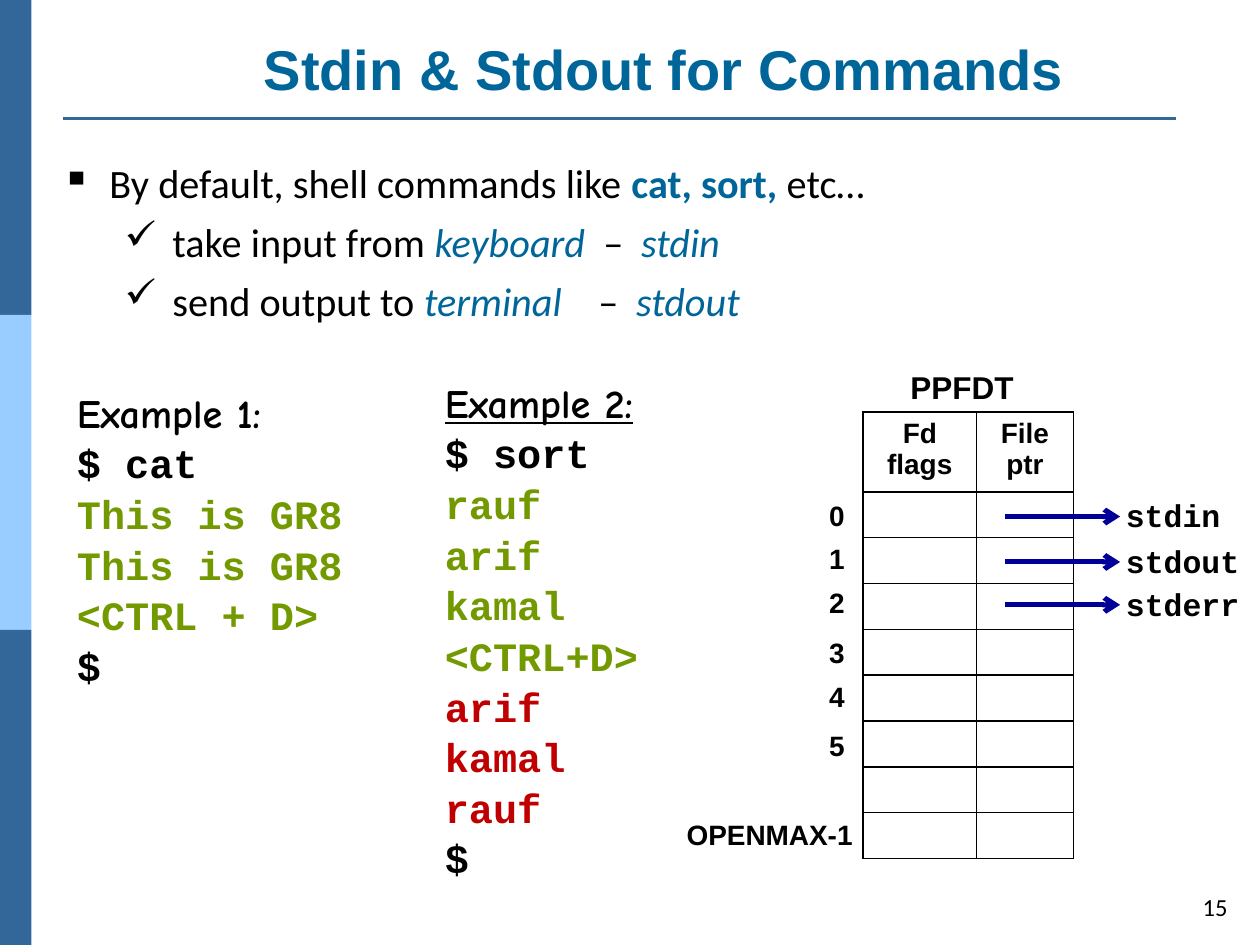
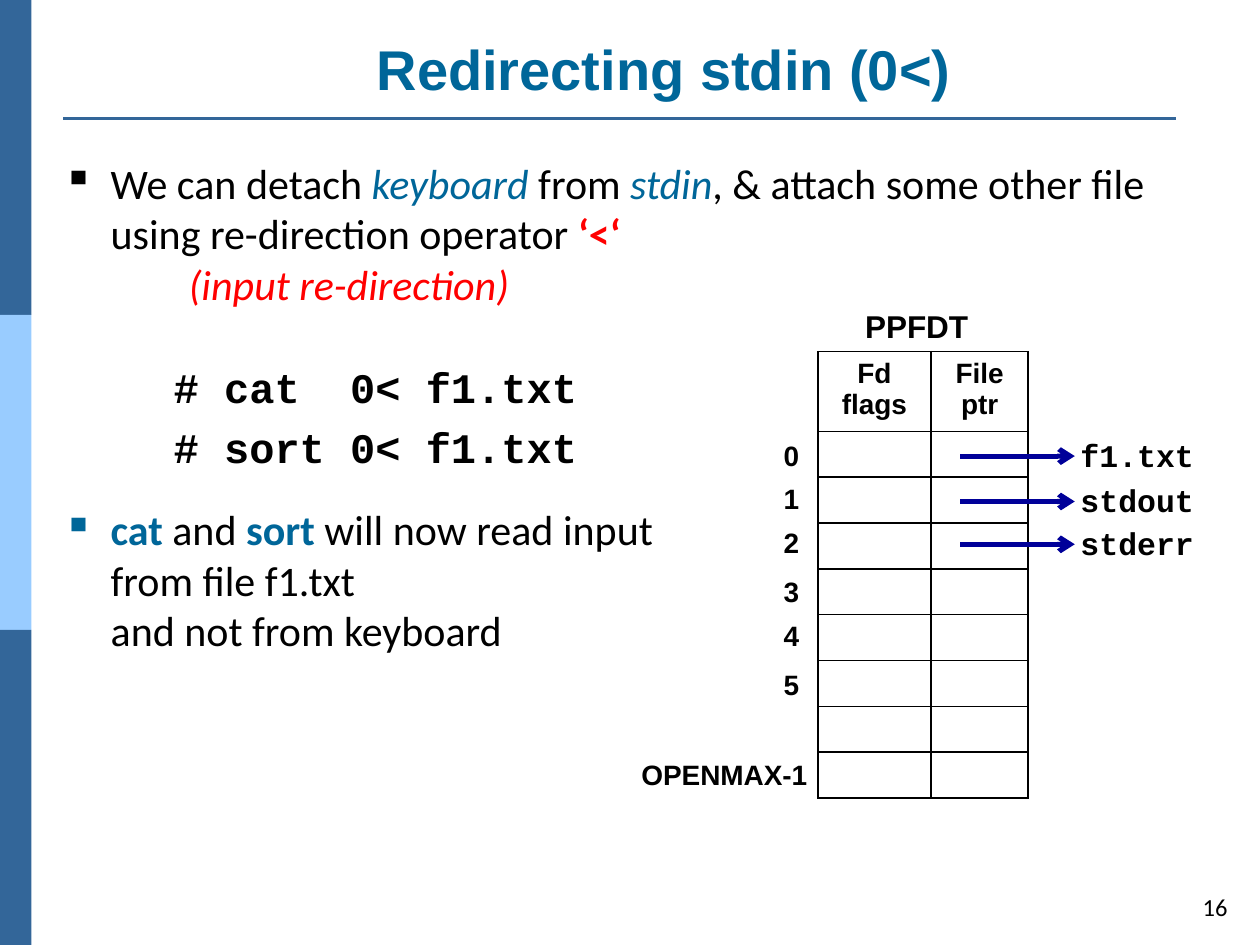
from dataclasses import dataclass

from pptx import Presentation
from pptx.dml.color import RGBColor
from pptx.enum.shapes import MSO_CONNECTOR, MSO_SHAPE
from pptx.enum.text import MSO_ANCHOR, PP_ALIGN
from pptx.oxml.xmlchemy import OxmlElement
from pptx.util import Inches, Pt

RECT, STRAIGHT = MSO_SHAPE.RECTANGLE, MSO_CONNECTOR.STRAIGHT
LEFT, CENTER, RIGHT = PP_ALIGN.LEFT, PP_ALIGN.CENTER, PP_ALIGN.RIGHT
TOP, MIDDLE, BOTTOM = MSO_ANCHOR.TOP, MSO_ANCHOR.MIDDLE, MSO_ANCHOR.BOTTOM

# Slide grid: 100 columns by 75 rows of square units
COLS, ROWS, UNIT = 100, 75, 0.1


@dataclass(frozen=True)
class Theme:
    black: str = "000000"
    accent: str = "006699"
    band: str = "336699"
    band_light: str = "99CCFF"
    arrow: str = "000099"
    typed: str = "739900"
    printed: str = "C00000"
    alert: str = "FF0000"
    heading: str = "Arial"
    body: str = "Calibri"
    code: str = "Courier New"
    example: str = "Comic Neue"
    title_size: int = 32
    body_size: int = 24
    small_body_size: int = 23
    label_size: int = 18
    cell_size: int = 16
    number_size: int = 14


THEME = Theme()


def grid(*units):
    return [Inches(round(u * UNIT, 3)) for u in units]


def add_run(paragraph, text, font, size, color=THEME.black, style=""):
    """Style letters: b bold, i italic, u underline; a newline breaks the line."""
    for number, line in enumerate(text.split("\n")):
        if number:
            paragraph.add_line_break()
        run = paragraph.add_run()
        run.text = line
        run.font.name, run.font.size = font, Pt(size)
        run.font.color.rgb = RGBColor.from_string(color)
        run.font.bold, run.font.italic = "b" in style, "i" in style
        run.font.underline = "u" in style


def text_box(slide, box, wrap=True, anchor=TOP, inset=(0.09, 0.04)):
    frame = slide.shapes.add_textbox(*grid(*box)).text_frame
    frame.word_wrap, frame.vertical_anchor = wrap, anchor
    frame.margin_left = frame.margin_right = Inches(inset[0])
    frame.margin_top = frame.margin_bottom = Inches(inset[1])
    return frame


def label(slide, box, text, font, size, align=LEFT):
    paragraph = text_box(slide, box, wrap=False).paragraphs[0]
    paragraph.alignment = align
    add_run(paragraph, text, font, size, style="b")


def next_paragraph(frame, index):
    return frame.add_paragraph() if index else frame.paragraphs[0]


def line(slide, start, end, color, width, arrow=False):
    connector = slide.shapes.add_connector(STRAIGHT, *grid(*start, *end))
    connector.line.color.rgb = RGBColor.from_string(color)
    connector.line.width = Pt(width)
    if arrow:
        head = OxmlElement("a:tailEnd")
        head.set("type", "arrow")
        connector.line._get_or_add_ln().append(head)
    connector._element.spPr.append(OxmlElement("a:effectLst"))


def new_slide(deck, title, number):
    """Side bands, title with its rule, and slide number."""
    slide = deck.slides.add_slide(deck.slide_layouts[5])
    band_height = ROWS / 3
    for i, color in enumerate((THEME.band, THEME.band_light, THEME.band)):
        band = slide.shapes.add_shape(
            RECT, *grid(0, i * band_height, 2.5, band_height))
        band.shadow.inherit = False
        band.fill.solid()
        band.fill.fore_color.rgb = RGBColor.from_string(color)
        band.line.fill.background()
    line(slide, (5, 9.4), (93.3, 9.4), THEME.band, 1.5)

    heading = slide.shapes.title
    heading.left, heading.top, heading.width, heading.height = grid(
        11.5, 1.8, 82.4, 6.8)
    heading.text_frame.vertical_anchor = BOTTOM
    paragraph = heading.text_frame.paragraphs[0]
    paragraph.alignment = CENTER
    add_run(paragraph, title, THEME.heading, THEME.title_size, THEME.accent, "b")

    frame = text_box(slide, (93.9, 69.9, 4.5, 4.1), anchor=MIDDLE,
                     inset=(0.1, 0.05))
    frame.paragraphs[0].alignment = RIGHT
    add_run(frame.paragraphs[0], str(number), THEME.body, THEME.number_size)
    return slide


@dataclass(frozen=True)
class Item:
    runs: tuple                # (text, color, style) for each run
    margin: float = 0.38
    indent: float = -0.38
    bullet: str = ""
    before: float = 0
    tabs: tuple = ()
    font: str = THEME.body


def body_text(slide, box, size, items):
    frame = text_box(slide, box, inset=(0.1, 0.05))
    for index, item in enumerate(items):
        paragraph = next_paragraph(frame, index)
        props = paragraph._p.get_or_add_pPr()
        props.set("marL", str(Inches(item.margin)))
        props.set("indent", str(Inches(item.indent)))
        if item.bullet:
            bullet = OxmlElement("a:buChar")
            bullet.set("char", item.bullet)
            props.append(bullet)
        if item.tabs:
            stops = OxmlElement("a:tabLst")
            for position in item.tabs:
                stop = OxmlElement("a:tab")
                stop.set("pos", str(Inches(position)))
                stop.set("algn", "l")
                stops.append(stop)
            props.append(stops)
        if item.before:
            paragraph.space_before = Pt(item.before)
        for text, color, style in item.runs:
            add_run(paragraph, text, item.font, size, color, style)


def terminal_session(slide, box, heading, heading_style, lines):
    frame = text_box(slide, box)
    rows = [(heading, THEME.black, THEME.example, heading_style)]
    rows += [(text, color, THEME.code, "b") for text, color in lines]
    for index, (text, color, font, style) in enumerate(rows):
        paragraph = next_paragraph(frame, index)
        paragraph.line_spacing = 1.05
        add_run(paragraph, text, font, THEME.small_body_size, color, style)


def format_cell(cell, text):
    cell.fill.background()
    paragraph = cell.text_frame.paragraphs[0]
    paragraph.alignment = CENTER
    if text:
        add_run(paragraph, text, THEME.heading, THEME.cell_size, style="b")
    else:
        end = OxmlElement("a:endParaRPr")
        end.set("sz", "1200")
        paragraph._p.append(end)
    cell_props = cell._tc.get_or_add_tcPr()
    for position, side in enumerate(("a:lnL", "a:lnR", "a:lnT", "a:lnB")):
        border, fill, color = (OxmlElement(tag) for tag in
                               (side, "a:solidFill", "a:srgbClr"))
        border.set("w", str(Pt(1)))
        color.set("val", THEME.black)
        fill.append(color)
        border.append(fill)
        cell_props.insert(position, border)


def descriptor_table(slide, left, top, targets):
    """File descriptor table with its row indexes and the files pointed to."""
    headers, widths, heights = ("Fd flags", "File ptr"), (9, 7.7), [5.3] + [3.64] * 8
    table = slide.shapes.add_table(
        len(heights), len(headers),
        *grid(left, top, sum(widths), sum(heights))).table
    table.first_row = table.horz_banding = False
    for column, width in zip(table.columns, grid(*widths)):
        column.width = width
    for r, (row, height) in enumerate(zip(table.rows, grid(*heights))):
        row.height = height
        for cell, header in zip(row.cells, headers):
            format_cell(cell, "" if r else header)

    # Caption and row indexes
    label(slide, (left + 2.8, top - 3.9, 10.1, 3.8), "PPFDT",
          THEME.heading, THEME.label_size, CENTER)
    for index, drop in enumerate((6.5, 9.9, 13.4, 17.3, 20.8, 24.7)):
        label(slide, (left - 3.6, top + drop, 3.1, 3.5), str(index),
              THEME.heading, THEME.cell_size)
    label(slide, (left - 14.9, top + 31.8, 15.1, 3.5), "OPENMAX-1",
          THEME.heading, THEME.cell_size)

    # File pointers
    for target, drop in zip(targets, (8.3, 11.9, 15.3)):
        y = top + drop
        line(slide, (left + 11.3, y), (left + 20.4, y), THEME.arrow, 2.9, arrow=True)
        label(slide, (left + 19.9, y - 2, 1.5 * len(target) + 1.9, 3.8), target,
              THEME.code, THEME.label_size, CENTER)


def default_streams_slide(deck):
    black, accent = THEME.black, THEME.accent
    slide = new_slide(deck, "Stdin & Stdout for Commands", 15)

    def stream(action, device, name, tabs):
        return Item(((action, black, ""), (device, accent, "i"),
                     ("\t–\t", black, ""), (name, accent, "i")),
                    margin=0.88, bullet="✓", before=6, tabs=tabs)

    descriptor_table(slide, 68.5, 32.7, ("stdin", "stdout", "stderr"))
    terminal_session(
        slide, (5.2, 30.2, 24.9, 25.5), "Example 1:", "b",
        [("$ cat", black)]
        + [(text, THEME.typed) for text in
           ("This is GR8", "This is GR8", "<CTRL + D>")]
        + [("$", black)])
    terminal_session(
        slide, (34.4, 29.4, 22.2, 41.8), "Example 2:", "bu",
        [("$ sort", black)]
        + [(text, THEME.typed) for text in ("rauf", "arif", "kamal", "<CTRL+D>")]
        + [(text, THEME.printed) for text in ("arif", "kamal", "rauf")]
        + [("$", black)])
    body_text(slide, (3.9, 12.1, 89.9, 14.3), THEME.small_body_size, (
        Item((("By default, shell commands like ", black, ""),
              ("cat, sort, ", accent, "b"), ("etc…", black, "")), bullet="▪"),
        stream("take input from ", "keyboard", "stdin", (4.3, 4.6)),
        stream("send output to ", "terminal", "stdout", (4.26, 4.56)),
    ))


def redirect_slide(deck):
    black, accent, alert = THEME.black, THEME.accent, THEME.alert
    slide = new_slide(deck, "Redirecting stdin (0<)", 16)

    def command(text, before):
        return Item(((text, black, "b"),), margin=0.88, indent=0,
                    before=before, font=THEME.code)

    body_text(slide, (4, 12, 92.5, 49.3), THEME.body_size, (
        Item((("We can detach ", black, ""), ("keyboard", accent, "i"),
              (" from ", black, ""), ("stdin", accent, "i"),
              (", & attach some other file using re-direction operator ", black, ""),
              ("‘<‘", alert, "b")), bullet="▪"),
        Item((("(input re-direction)", alert, "i"),), margin=1, indent=0),
        command("# cat  0< f1.txt", 30),
        command("# sort 0< f1.txt", 6),
        Item((("cat", accent, "b"), (" and ", black, ""), ("sort", accent, "b"),
              (" will now read input \nfrom file f1.txt \nand not from keyboard",
               black, "")), bullet="▪", before=18),
    ))
    descriptor_table(slide, 64.9, 27.9, ("f1.txt", "stdout", "stderr"))


def main():
    deck = Presentation()
    deck.slide_width, deck.slide_height = grid(COLS, ROWS)
    default_streams_slide(deck)
    redirect_slide(deck)
    deck.save("out.pptx")


if __name__ == "__main__":
    main()
